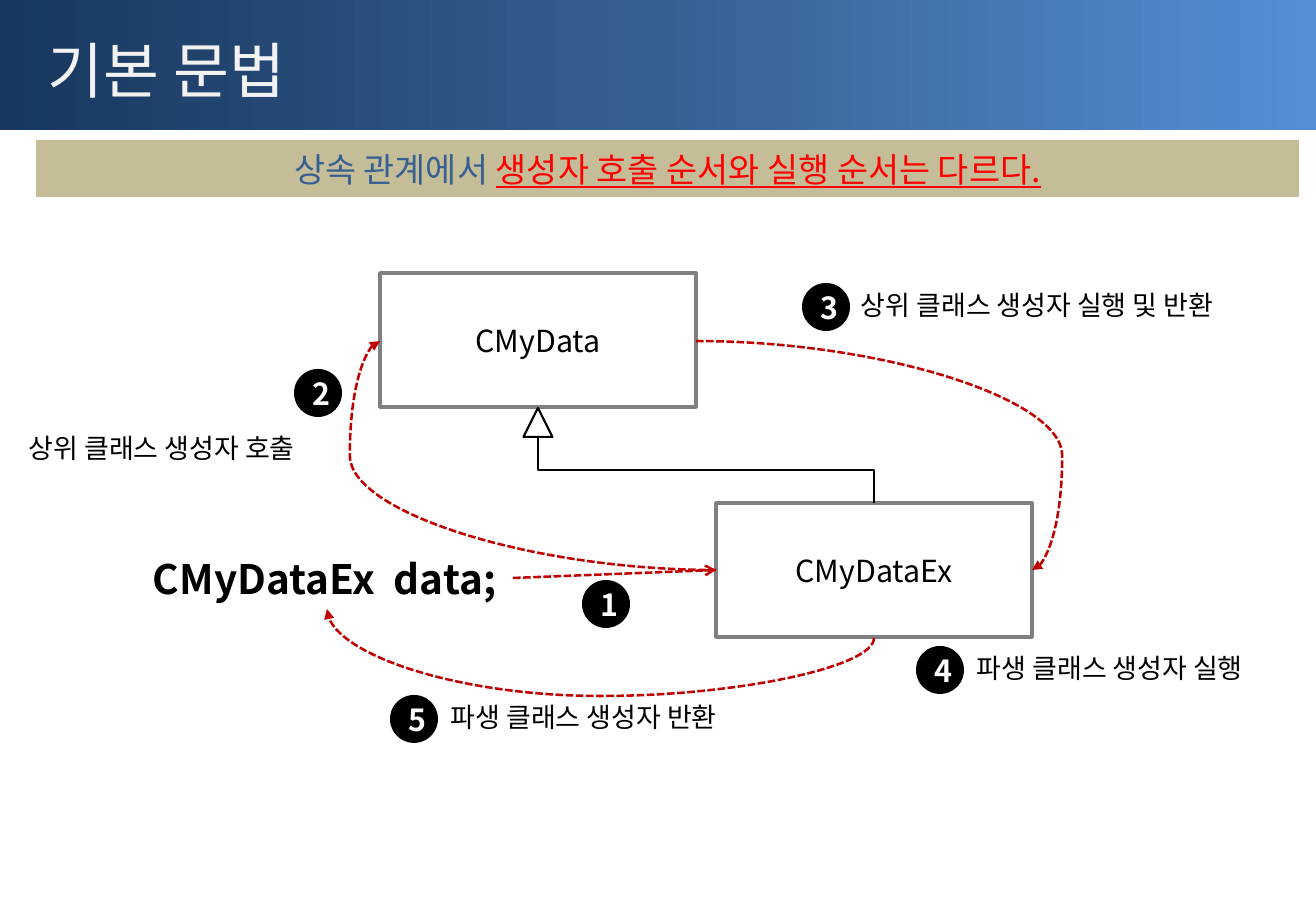
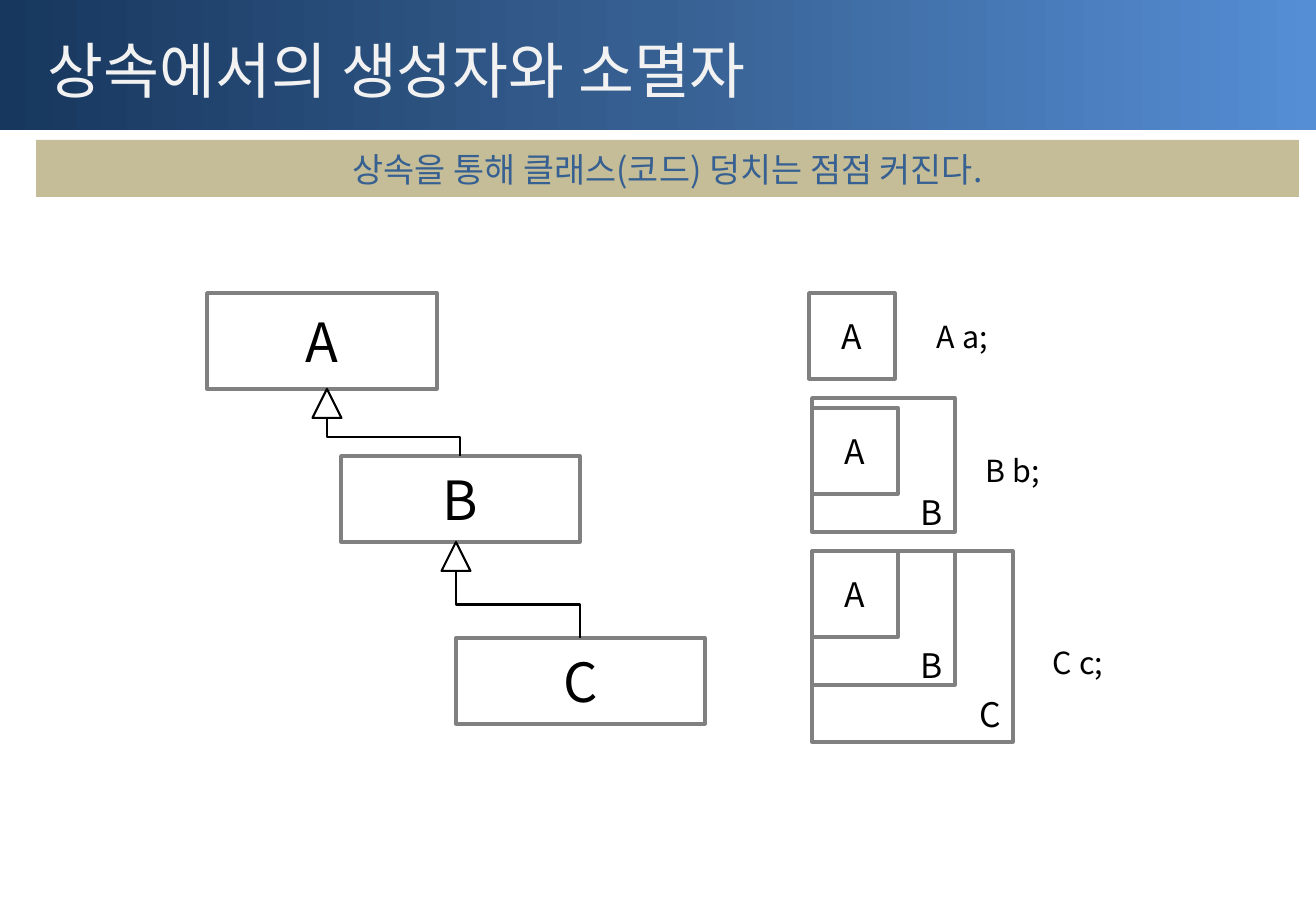
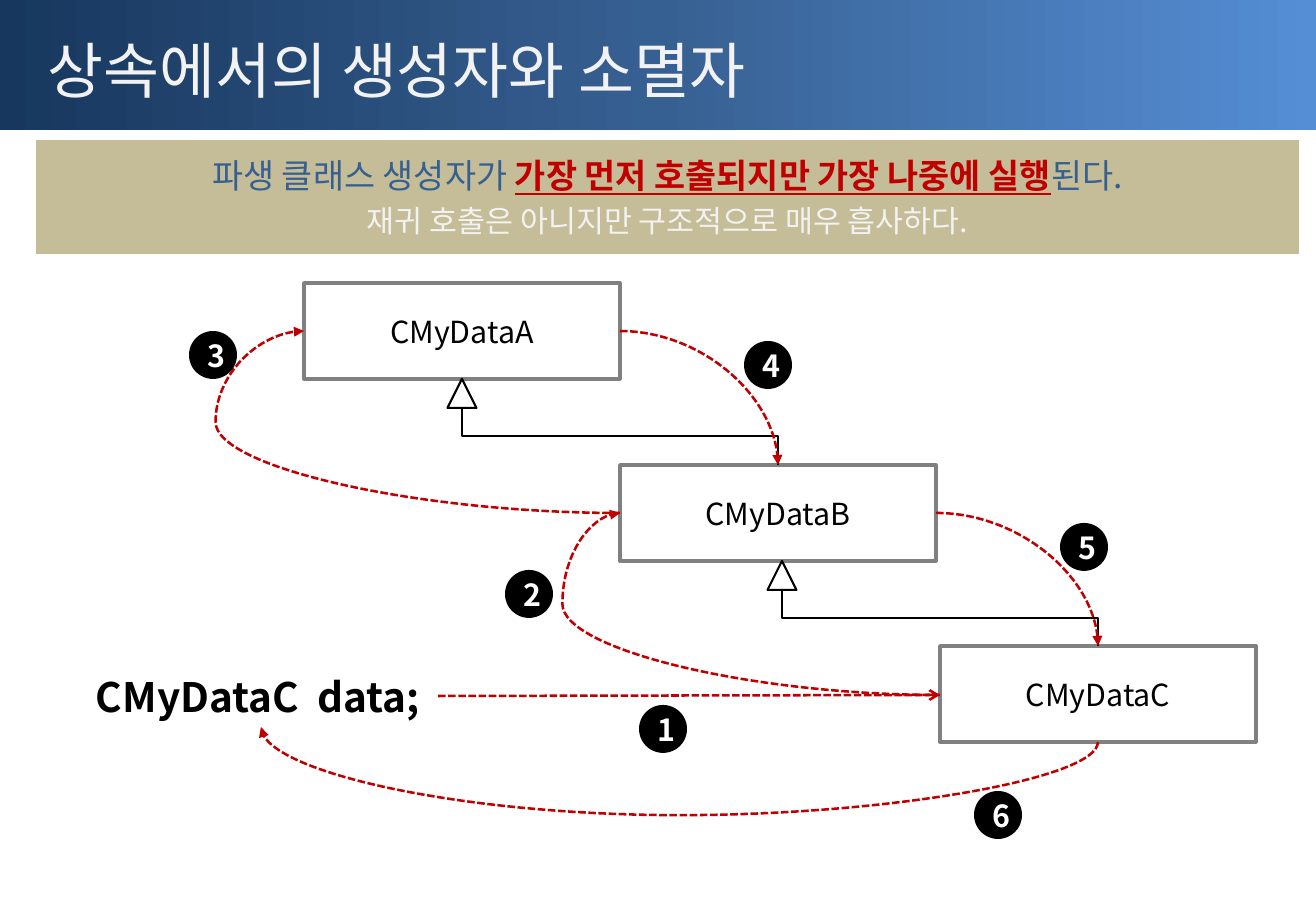
from copy import deepcopy
from pptx import Presentation, util as u
from pptx.dml.color import RGBColor
from pptx.enum import dml, shapes, text
from pptx.oxml.ns import qn
from lxml import etree

PX = 914400 / 121.5
FONT = "Noto Sans CJK KR"
BLACK, WHITE, GRAY, RED = "000000", "FFFFFF", "808080", "C00000"
BLUE, PALE, SAND = "376092", "F2F2F2", "C4BD97"
RECT, OVAL = shapes.MSO_SHAPE.RECTANGLE, shapes.MSO_SHAPE.OVAL
PEAK = shapes.MSO_SHAPE.ISOSCELES_TRIANGLE
LINE, BENT, CURVE = (shapes.MSO_CONNECTOR.STRAIGHT, shapes.MSO_CONNECTOR.ELBOW,
                     shapes.MSO_CONNECTOR.CURVE)
LEFT, MID, RIGHT = text.PP_ALIGN.LEFT, text.PP_ALIGN.CENTER, text.PP_ALIGN.RIGHT
hue = RGBColor.from_string


def put(page, form, box, rows=(), side=MID, fill=None, edge=None, thick=2):
    area = [round(n * PX) for n in box]
    if form is None:
        item = page.shapes.add_textbox(*area)
    else:
        item = page.shapes.add_shape(form, *area)
        item.shadow.inherit = False
        item.fill.background()
        item.line.fill.background()
    if fill:
        item.fill.solid()
        item.fill.fore_color.rgb = hue(fill)
    if edge:
        item.line.color.rgb = hue(edge)
        item.line.width = u.Pt(thick)
    frame = item.text_frame
    for i, row in enumerate(rows):
        para = frame.add_paragraph() if i else frame.paragraphs[0]
        para.alignment = side
        for words, size, tint, bold, under in row:
            run = para.add_run()
            run.text = words
            font = run.font
            font.size, font.bold, font.underline = u.Pt(size), bold, under
            font.color.rgb = hue(tint)
            font.name = FONT
            etree.SubElement(run._r.rPr, qn("a:ea"), typeface=FONT)
    return item


def wire(page, kind, ends, turn=0, bend=None, tip=None, tint=RED, wide=1.5):
    x1, y1, x2, y2 = ends
    if turn:
        w, h = abs(x2 - x1), abs(y2 - y1)
        if turn != 180:
            w, h = h, w
        x, y = (x1 + x2 - w) / 2, (y1 + y2 - h) / 2
        x1, y1, x2, y2 = x, y, x + w, y + h
    link = page.shapes.add_connector(kind, *[round(n * PX) for n in (x1, y1, x2, y2)])
    link.line.color.rgb = hue(tint)
    link.line.width = u.Pt(wide)
    spot = link._element.spPr
    if turn:
        spot.xfrm.set("rot", str(turn * 60000))
        if turn != 180:
            spot.xfrm.set("flipH", "1")
    geom = spot.find(qn("a:prstGeom"))
    if bend:
        etree.SubElement(geom.find(qn("a:avLst")), qn("a:gd"),
                         name="adj1", fmla=f"val {round(bend * 100000)}")
    elif kind == CURVE:
        geom.set("prst", "curvedConnector2")
    if tip:
        link.line.dash_style = dml.MSO_LINE.SQUARE_DOT
        etree.SubElement(spot.find(qn("a:ln")), qn("a:tailEnd"), type=tip)
    etree.SubElement(spot, qn("a:effectLst"))


deck = Presentation()
deck.slide_width, deck.slide_height = round(1316 * PX), round(911 * PX)

LIFE = "상속에서의 생성자와 소멸자"
heads = [
    ("기본 문법", 57, [
        [("상속 관계에서 ", 20, BLUE, False, False),
         ("생성자 호출 순서와 실행 순서는 다르다.", 20, "FF0000", False, True)]]),
    (LIFE, 57, [
        [("상속을 통해 클래스(코드) 덩치는 점점 커진다.", 20, BLUE, False, False)]]),
    (LIFE, 114, [
        [("파생 클래스 생성자가 ", 20, BLUE, False, False),
         ("가장 먼저 호출되지만 가장 나중에 실행", 20, RED, True, True),
         ("된다.", 20, BLUE, False, False)],
        [("재귀 호출은 아니지만 구조적으로 매우 흡사하다.", 18, PALE, False, False)]]),
]
pages = []
for title, deep, rows in heads:
    page = deck.slides.add_slide(deck.slide_layouts[6])
    pages.append(page)
    band = put(page, RECT, (0, 0, 1316, 130))
    band.fill.gradient()
    band.fill.gradient_angle = 0
    stops = band._element.spPr.find(".//" + qn("a:gsLst"))
    stops.append(deepcopy(stops[0]))
    for stop, place, tint in zip(band.fill.gradient_stops, (0, 0.5, 1),
                                 ("17375E", BLUE, "558ED5")):
        stop.position = place
        stop.color.rgb = hue(tint)
    name = put(page, None, (36, 16, 1263, 106), [[(title, 36, PALE, False, False)]], LEFT)
    name.text_frame.word_wrap = True
    name.text_frame.vertical_anchor = text.MSO_ANCHOR.MIDDLE
    lead = put(page, RECT, (36, 140, 1263, deep), rows, fill=SAND)
    for para in lead.text_frame.paragraphs:
        para.space_before = u.Pt(4)

boxes = [
    (0, "CMyData", 18, (380, 273, 316, 134)),
    (0, "CMyDataEx", 18, (716, 503, 316, 134)),
    (1, "A", 32, (207, 293, 230, 96)),
    (1, "B", 32, (341, 456, 239, 86)),
    (1, "C", 32, (456, 638, 249, 86)),
    (1, "A", 20, (809, 293, 86, 86)),
    (1, "A", 20, (812, 408, 86, 86)),
    (1, "A", 20, (812, 551, 86, 86)),
    (2, "CMyDataA", 18, (304, 283, 316, 96)),
    (2, "CMyDataB", 18, (620, 465, 316, 96)),
    (2, "CMyDataC", 18, (940, 646, 316, 96)),
]
for n, word, size, box in boxes:
    put(pages[n], RECT, box, [[(word, size, BLACK, False, False)]], edge=GRAY)

nests = [
    ("B", (812, 398, 143, 134), 0),
    ("B", (812, 551, 143, 134), 0),
    ("C", (812, 551, 201, 191), 8),
]
for word, box, low in nests:
    nest = put(pages[1], RECT, box, [[(word, 20, BLACK, False, False)]], RIGHT, edge=GRAY)
    nest.text_frame.vertical_anchor = text.MSO_ANCHOR.BOTTOM
    nest.text_frame.margin_bottom = round(low * PX)

parents = [
    (0, 538, 408, 874, 503),
    (1, 327, 389, 460, 456),
    (1, 456, 542, 580, 638),
    (2, 462, 379, 778, 465),
    (2, 782, 561, 1098, 646),
]
for n, x, y, right, low in parents:
    put(pages[n], PEAK, (x - 14.5, y, 29, 29), edge=BLACK, thick=1.25)
    wire(pages[n], BENT, (x, y + 29, right, low), 270, 0.5, tint=BLACK, wide=1.25)

calls = [
    (0, LINE, (513, 578, 716, 570), 0, None, "arrow"),
    (0, CURVE, (716, 570, 380, 341), 180, 1.09, "triangle"),
    (0, CURVE, (696, 341, 1032, 570), 0, 1.09, "triangle"),
    (0, CURVE, (874, 638, 327, 609), 90, -2, "triangle"),
    (2, LINE, (438, 696, 940, 695), 0, None, "arrow"),
    (2, CURVE, (940, 695, 620, 513), 180, 1.18, "triangle"),
    (2, CURVE, (620, 513, 304, 331), 180, 1.28, "triangle"),
    (2, CURVE, (620, 331, 778, 465), 0, None, "triangle"),
    (2, CURVE, (936, 513, 1098, 646), 0, None, "triangle"),
    (2, CURVE, (1098, 742, 261, 727), 90, -4.87, "triangle"),
]
for n, *call in calls:
    wire(pages[n], *call)

steps = {
    0: [(582, 580), (294, 369), (802, 283), (916, 646), (390, 695)],
    2: [(639, 705), (505, 570), (189, 331), (744, 341), (1060, 523), (974, 791)],
}
for n, spots in steps.items():
    for i, (x, y) in enumerate(spots, 1):
        put(pages[n], OVAL, (x, y, 48, 48), [[(str(i), 18, WHITE, True, False)]], fill=BLACK)

notes = [
    (0, "CMyDataEx  data;", 24, True, (141, 548, 372, 61)),
    (0, "상위 클래스 생성자 호출", 16, False, (17, 426, 326, 45)),
    (0, "상위 클래스 생성자 실행 및 반환", 16, False, (849, 283, 427, 45)),
    (0, "파생 클래스 생성자 실행", 16, False, (965, 646, 326, 45)),
    (0, "파생 클래스 생성자 반환", 16, False, (439, 695, 326, 45)),
    (1, "A a;", 18, False, (925, 312, 79, 49)),
    (1, "B b;", 18, False, (974, 446, 79, 49)),
    (1, "C c;", 18, False, (1041, 638, 77, 49)),
    (2, "CMyDataC  data;", 24, True, (84, 666, 354, 61)),
]
for n, words, size, bold, box in notes:
    note = put(pages[n], None, box, [[(words, size, BLACK, bold, False)]], LEFT)
    note.text_frame.word_wrap = False
    note.text_frame.auto_size = text.MSO_AUTO_SIZE.SHAPE_TO_FIT_TEXT

deck.save("out.pptx")
